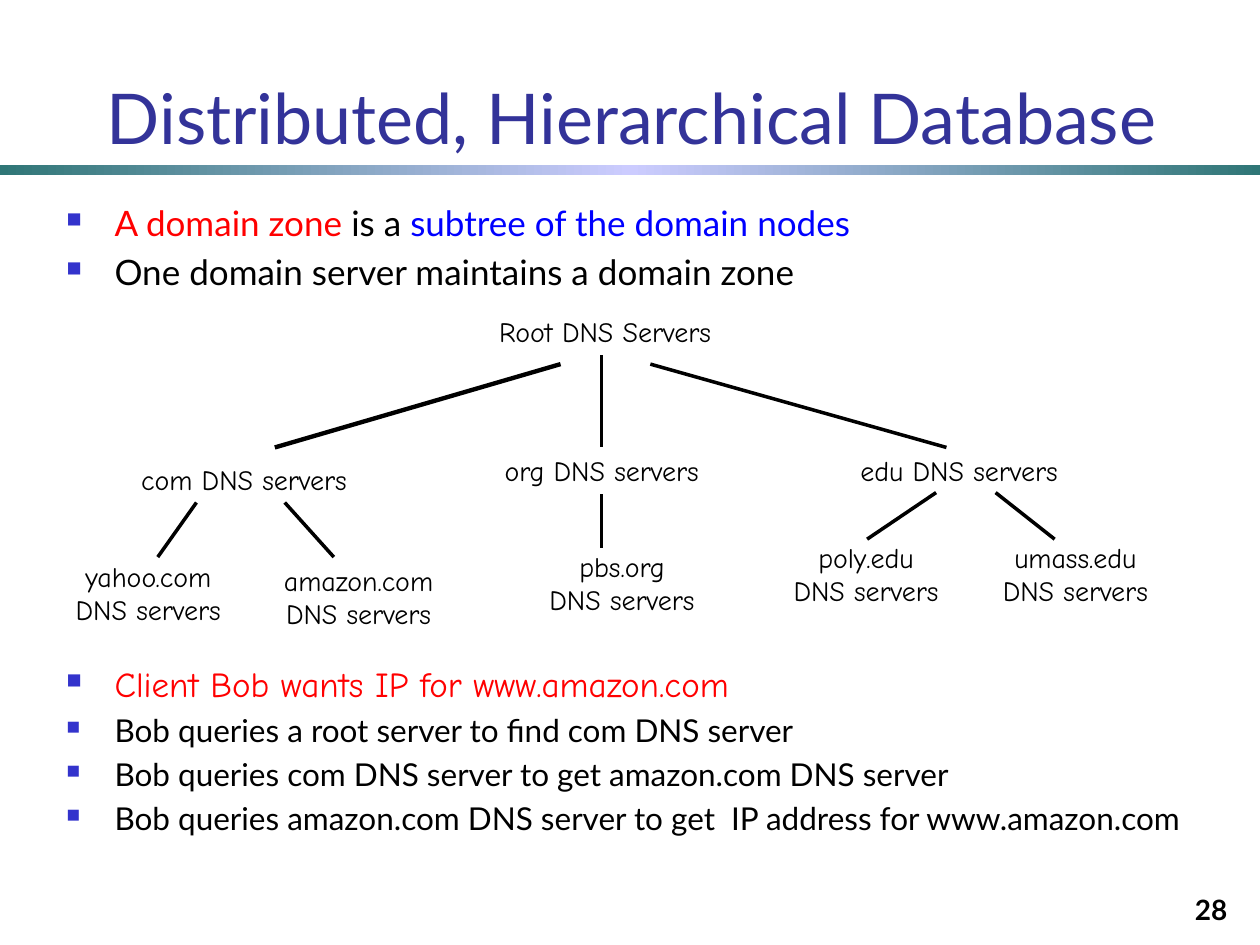
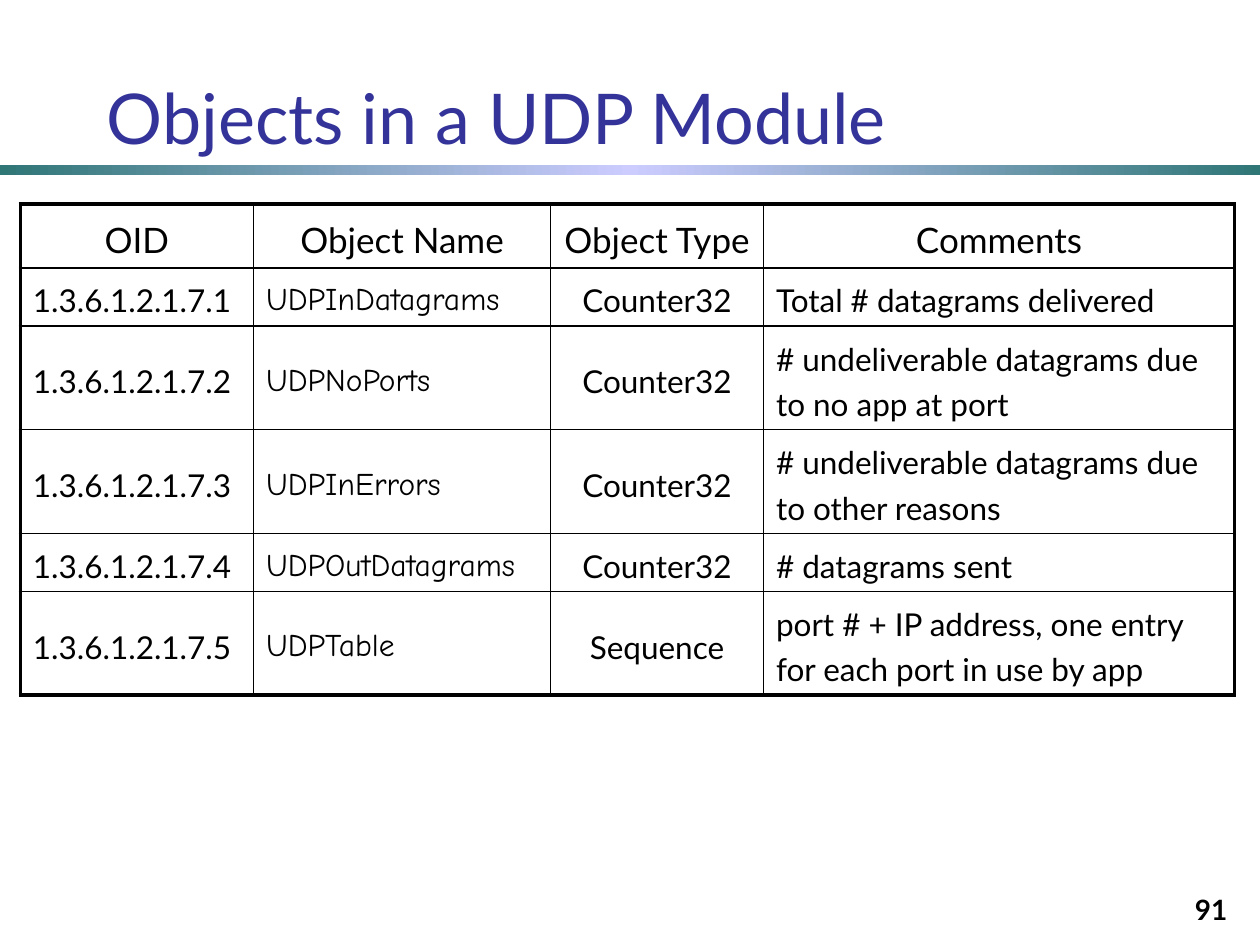
from copy import deepcopy
from dataclasses import dataclass

from lxml.etree import SubElement
from pptx import Presentation
from pptx.dml.color import RGBColor as RGB
from pptx.enum.shapes import MSO_CONNECTOR as Connector, MSO_SHAPE as Shape
from pptx.enum.text import MSO_ANCHOR as Anchor, MSO_AUTO_SIZE as AutoSize, PP_ALIGN as Align
from pptx.oxml.ns import qn
from pptx.util import Cm, Pt


@dataclass(frozen=True)
class Theme:
    title: str = "333399"
    text: str = "000000"
    red: str = "FF0000"
    blue: str = "0000FF"
    bullet: str = "3333CC"
    band_edge: str = "2F7676"
    band_middle: str = "CCCCFF"
    font: str = "Lato"
    hand_font: str = "Comic Neue"
    title_size: int = 40
    large: int = 20
    medium: int = 18
    small: int = 16
    thin: float = 1
    thick: float = 2.25
    branch: float = 2


T = Theme()

ZONE_BULLETS = [
    [("A domain zone ", T.large, T.font, T.red),
     ("is a ", T.large, T.font, T.text),
     ("subtree of the domain nodes", T.large, T.font, T.blue)],
    [("One domain server maintains a domain zone", T.large, T.font, T.text)],
]
QUERY_BULLETS = [
    [("Client Bob wants IP for www.amazon.com", T.large, T.hand_font, T.red)],
    *[[(text, T.medium, T.font, T.text)] for text in (
        "Bob queries a root server to find com DNS server",
        "Bob queries com DNS server to get amazon.com DNS server",
        "Bob queries amazon.com DNS server to get  IP address for www.amazon.com",
    )],
]
TOP_SERVERS = [
    ("Root", 9.47, 6.22, 5.46),
    ("com", 2.34, 9.19, 5.16),
    ("org", 9.63, 9.02, 5),
    ("edu", 16.81, 9.02, 5.05),
]
ZONE_SERVERS = [
    ("poly.edu", 15.49, 10.77),
    ("umass.edu", 19.71, 10.77),
    ("yahoo.com", 1.02, 11.15),
    ("amazon.com", 5.26, 11.23),
    ("pbs.org", 10.57, 10.95),
]
BRANCHES = [
    (11.3, 7.34, 5.54, 9.02, 2.5),
    (13.11, 7.34, 19.08, 9.02, T.branch),
    (18.87, 9.93, 17.48, 10.87, T.branch),
    (20.07, 9.93, 21.26, 10.87, T.branch),
    (3.96, 10.13, 3.18, 11.23, T.branch),
    (5.74, 10.13, 6.73, 11.23, T.branch),
]
ORG_X = 12.13

UDP_HEADER = ("OID", "Object Name", "Object Type", "Comments")
UDP_OBJECTS = [
    ("UDPInDatagrams", "Counter32", "Total # datagrams delivered"),
    ("UDPNoPorts", "Counter32", "# undeliverable datagrams due to no app at port"),
    ("UDPInErrors", "Counter32", "# undeliverable datagrams due to other reasons"),
    ("UDPOutDatagrams", "Counter32", "# datagrams sent"),
    ("UDPTable", "Sequence", "port # + IP address, one entry for each port in use by app"),
]
UDP_COLUMNS = (4.7, 5.99, 4.29, 9.5)
UDP_ROWS = (1.29, 1.17, 2.09, 2.09, 1.17, 2.09)


def add_run(p, text, size, font=T.font, color=T.text, bold=False):
    r = p.add_run()
    r.text = text
    r.font.size = Pt(size)
    r.font.name = font
    r.font.bold = bold
    r.font.color.rgb = RGB.from_string(color)


def add_box(slide, left, top, width, height, wrap=True):
    s = slide.shapes.add_textbox(Cm(left), Cm(top), Cm(width), Cm(height))
    s.text_frame.word_wrap = wrap
    return s


def next_paragraph(tf, index):
    return tf.add_paragraph() if index else tf.paragraphs[0]


def add_band(slide):
    s = slide.shapes.add_shape(Shape.RECTANGLE, 0, Cm(3.33), Cm(25.4), Cm(0.2))
    s.shadow.inherit = False
    s.line.fill.background()
    s.fill.gradient()
    s.fill.gradient_angle = 0
    stops = s._element.spPr.find(".//" + qn("a:gsLst"))
    stops.append(deepcopy(stops[-1]))
    colors = (T.band_edge, T.band_middle, T.band_edge)
    for i, (stop, color) in enumerate(zip(s.fill.gradient_stops, colors)):
        stop.position = i / 2
        stop.color.rgb = RGB.from_string(color)


def add_slide(prs, title, number):
    slide = prs.slides.add_slide(prs.slide_layouts[5])
    add_band(slide)
    s = slide.shapes.title
    s.left, s.top, s.width, s.height = Cm(1.9), Cm(0.91), Cm(23.5), Cm(2.42)
    tf = s.text_frame
    tf.auto_size = AutoSize.NONE
    tf.word_wrap = True
    tf.vertical_anchor = Anchor.BOTTOM
    p = tf.paragraphs[0]
    p.alignment = Align.LEFT
    add_run(p, title, T.title_size, color=T.title)

    tf = add_box(slide, 19.71, 17.53, 5.28, 1.27).text_frame
    tf.vertical_anchor = Anchor.BOTTOM
    p = tf.paragraphs[0]
    p.alignment = Align.RIGHT
    add_run(p, str(number), T.small, bold=True)
    return slide


def set_bullet(p):
    pPr = p._p.get_or_add_pPr()
    pPr.set("marL", str(Cm(0.97)))
    pPr.set("indent", str(-Cm(0.97)))
    color = SubElement(pPr, qn("a:buClr"))
    SubElement(color, qn("a:srgbClr"), val=T.bullet)
    SubElement(pPr, qn("a:buSzPct"), val="60000")
    SubElement(pPr, qn("a:buChar"), char="■")


def add_bullets(slide, top, height, items):
    tf = add_box(slide, 1.09, top, 23.8, height).text_frame
    for i, runs in enumerate(items):
        p = next_paragraph(tf, i)
        set_bullet(p)
        if i:
            p.space_before = Pt(runs[0][1] * 0.2)
        for run in runs:
            add_run(p, *run)


def add_server(slide, lines, left, top, width, height):
    s = add_box(slide, left, top, width, height, wrap=False)
    tf = s.text_frame
    tf.auto_size = AutoSize.SHAPE_TO_FIT_TEXT
    for i, line in enumerate(lines):
        p = next_paragraph(tf, i)
        p.alignment = Align.CENTER
        add_run(p, line, T.small, T.hand_font)
    return s


def add_branch(slide, x1, y1, x2, y2, width=T.branch):
    s = slide.shapes.add_connector(Connector.STRAIGHT, Cm(x1), Cm(y1), Cm(x2), Cm(y2))
    s.line.color.rgb = RGB.from_string(T.text)
    s.line.width = Pt(width)
    SubElement(s._element.spPr, qn("a:effectLst"))
    return s


def add_server_tree(slide):
    servers = {}
    for name, left, top, width in TOP_SERVERS:
        label = f"{name} DNS {'Servers' if name == 'Root' else 'servers'}"
        servers[name] = add_server(slide, [label], left, top, width, 0.94)
    for name, left, top in ZONE_SERVERS:
        add_server(slide, [name, "DNS servers"], left, top, 3.94, 1.63)
    for branch in BRANCHES:
        add_branch(slide, *branch)
    add_branch(slide, ORG_X, 7.16, ORG_X, 9.02).end_connect(servers["org"], 0)
    add_branch(slide, ORG_X, 9.96, ORG_X, 11.05).begin_connect(servers["org"], 2)


def set_borders(cell, outer_sides):
    tcPr = cell._tc.get_or_add_tcPr()
    for side in "LRTB":
        width = T.thick if side in outer_sides else T.thin
        ln = SubElement(tcPr, qn("a:ln" + side), w=str(Pt(width)))
        fill = SubElement(ln, qn("a:solidFill"))
        SubElement(fill, qn("a:srgbClr"), val=T.text)


def fill_cell(cell, text, size, font, align):
    cell.vertical_anchor = Anchor.MIDDLE
    cell.fill.background()
    p = cell.text_frame.paragraphs[0]
    p.alignment = align
    p.line_spacing = 1.2
    add_run(p, text, size, font)


def add_udp_table(slide):
    rows = [UDP_HEADER] + [
        (f"1.3.6.1.2.1.7.{i}", *row) for i, row in enumerate(UDP_OBJECTS, 1)]
    last_row, last_col = len(rows) - 1, len(UDP_COLUMNS) - 1
    table = slide.shapes.add_table(
        len(rows), len(UDP_COLUMNS), Cm(0.41), Cm(4.11),
        Cm(sum(UDP_COLUMNS)), Cm(sum(UDP_ROWS))).table
    table.first_row = table.horz_banding = False
    for column, width in zip(table.columns, UDP_COLUMNS):
        column.width = Cm(width)
    for row, height in zip(table.rows, UDP_ROWS):
        row.height = Cm(height)
    for i, row in enumerate(rows):
        for j, text in enumerate(row):
            cell = table.cell(i, j)
            edges = {"L": j == 0, "R": j == last_col, "T": i == 0, "B": i == last_row}
            set_borders(cell, [side for side, outer in edges.items() if outer])
            is_name = i > 0 and j == 1
            if is_name:
                cell.margin_right = Cm(0.05)
            fill_cell(cell, text, T.medium if i else T.large,
                      T.hand_font if is_name else T.font,
                      Align.CENTER if i == 0 or j == 2 else Align.LEFT)


def main():
    prs = Presentation()
    prs.slide_width, prs.slide_height = Cm(25.4), Cm(19.05)

    slide = add_slide(prs, "Distributed, Hierarchical Database", 28)
    add_bullets(slide, 3.94, 2.59, ZONE_BULLETS)
    add_server_tree(slide)
    add_bullets(slide, 13.23, 4.7, QUERY_BULLETS)

    slide = add_slide(prs, "Objects in a UDP Module", 91)
    add_udp_table(slide)

    prs.save("out.pptx")


if __name__ == "__main__":
    main()
